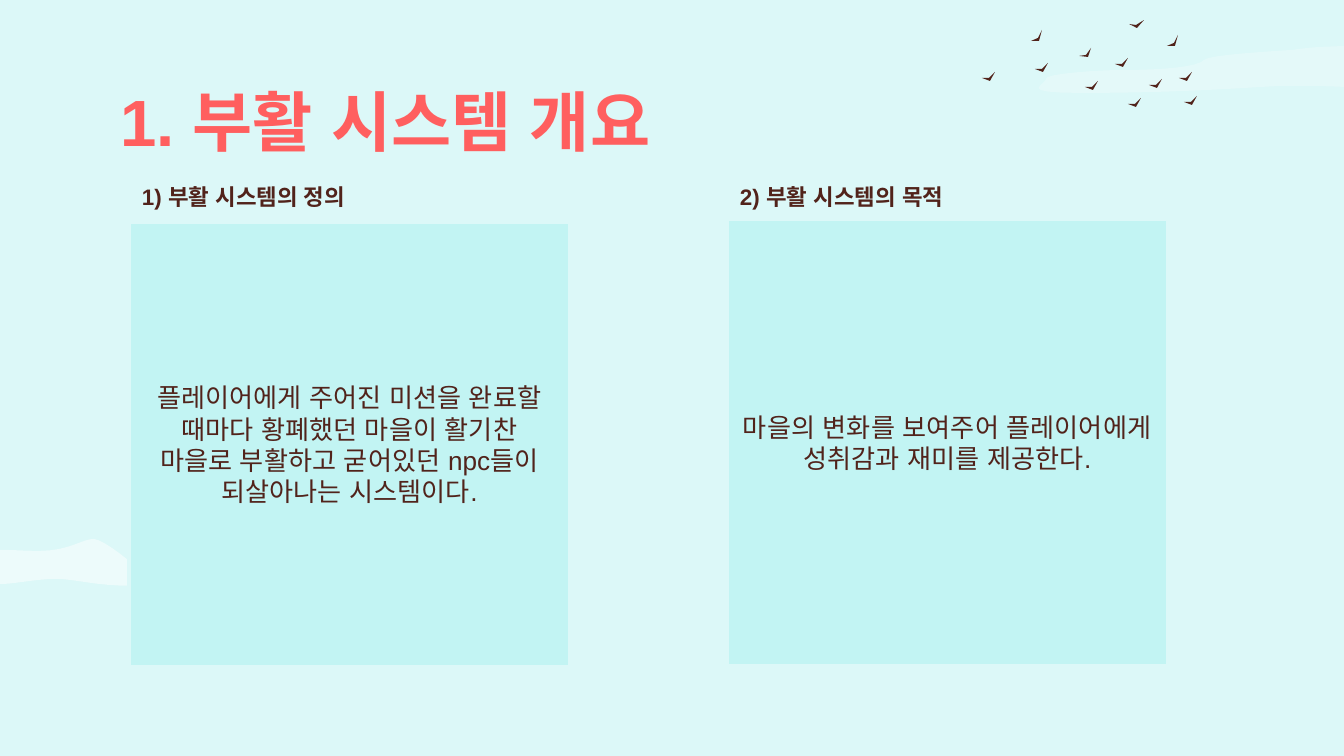
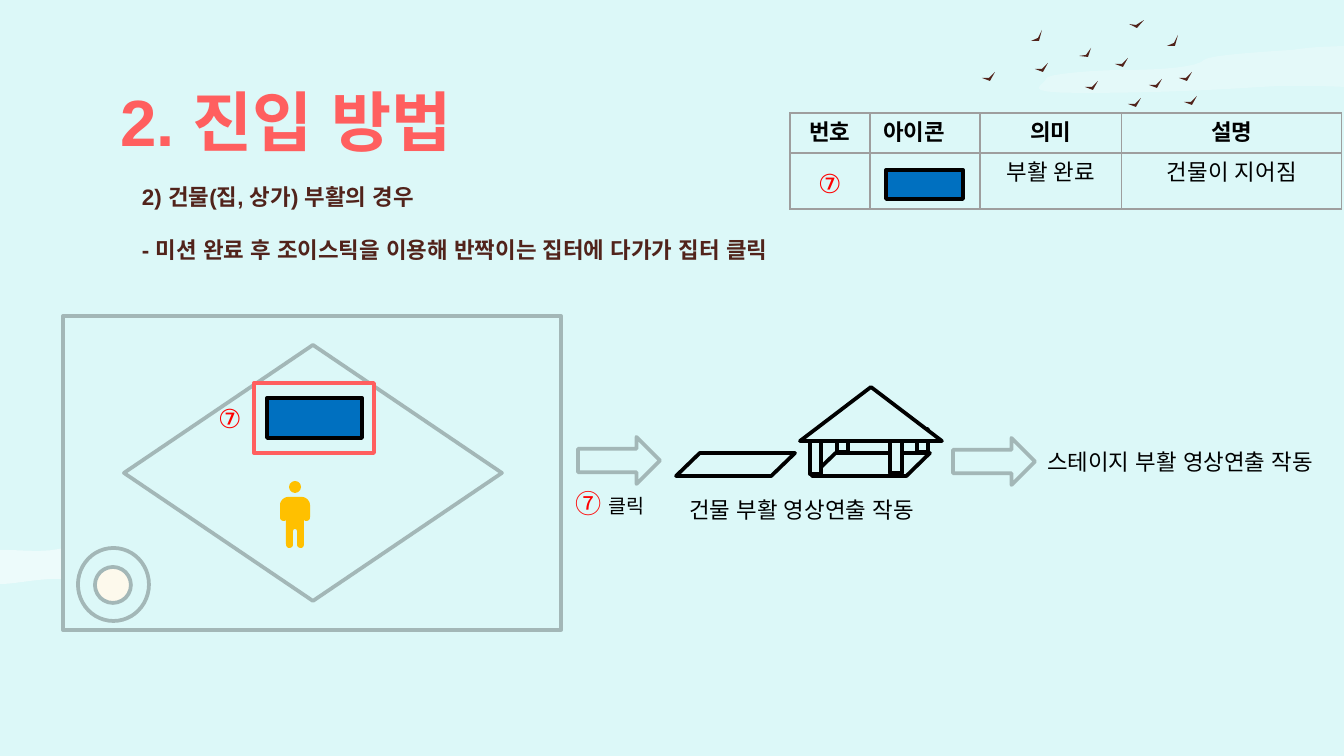
from dataclasses import dataclass

from lxml.etree import SubElement
from pptx import Presentation
from pptx.dml.color import RGBColor
from pptx.enum.shapes import MSO_SHAPE as SHAPE
from pptx.enum.text import MSO_ANCHOR as ANCHOR, MSO_AUTO_SIZE as AUTO, PP_ALIGN as ALIGN
from pptx.oxml.ns import qn
from pptx.util import Emu, Pt


@dataclass(frozen=True)
class Theme:
    font: str = "Arial"
    sky: str = "DCF8F8"
    panel: str = "C2F4F3"
    coral: str = "FF5F5F"
    brown: str = "51231B"
    gray: str = "A3B7B7"
    grid: str = "9E9E9E"
    blue: str = "0070C0"
    gold: str = "FFC000"
    cream: str = "FDF9EC"
    red: str = "FF0000"
    black: str = "000000"
    white: str = "FFFFFF"
    title: float = 35
    body: float = 14
    label: float = 12
    small: float = 10.5
    line: float = 2


T = Theme()
PX = 914400 / 134.4  # EMU per px
WIDTH, HEIGHT = 1344, 756

# Content: overview slide
OVERVIEW_TITLE = "1. 부활 시스템 개요"
OVERVIEW = [  # heading, heading box, text, panel box
    ("1) 부활 시스템의 정의", (106, 170, 534, 270),
     "플레이어에게 주어진 미션을 완료할 때마다 황폐했던 마을이 활기찬 마을로 "
     "부활하고 굳어있던 npc들이 되살아나는 시스템이다.", (129, 222, 441, 445)),
    ("2) 부활 시스템의 목적", (704, 170, 534, 270),
     "마을의 변화를 보여주어 플레이어에게 성취감과 재미를 제공한다.", (727, 219, 441, 447)),
]

# Content: entry slide
ENTRY_TITLE = "2. 진입 방법"
ENTRY_STEPS = ["2) 건물(집, 상가) 부활의 경우",
               "- 미션 완료 후 조이스틱을 이용해 반짝이는 집터에 다가가 집터 클릭"]
LEGEND_HEAD = ["번호", "아이콘", "의미", "설명"]
LEGEND_ROW = ["", "", "부활 완료", "건물이 지어짐"]
LEGEND_COLS = [80, 110, 142, 220]
LEGEND_X, LEGEND_Y, HEAD_H, ROW_H = 790, 113, 40, 56
MARK = "⑦"
CAPTIONS = [  # box, wrap, runs of (text, size, colour)
    ((676, 490, 277, 40), False, [("건물 부활 영상연출 작동", T.label, T.black)]),
    ((1034, 442, 310, 40), True, [("스테이지 부활 영상연출 작동", T.label, T.black)]),
    ((205, 396, 52, 46), True, [(MARK, T.body, T.red)]),
    ((562, 481, 120, 46), True, [(MARK + " ", T.body, T.red), ("클릭", T.small, T.black)]),
    ((805, 161, 58, 46), True, [(MARK, T.body, T.red)]),
]
DIAGRAM = [  # preset, box, fill, line
    # House and empty plot
    (SHAPE.FLOWCHART_DATA, (812, 453, 118, 23), T.sky, T.black),
    (SHAPE.RECTANGLE, (837, 429, 11, 23), T.sky, T.black),
    (SHAPE.RECTANGLE, (810, 441, 11, 33), T.sky, T.black),
    (SHAPE.RECTANGLE, (917, 429, 11, 23), T.sky, T.black),
    (SHAPE.RECTANGLE, (890, 440, 12, 33), T.sky, T.black),
    (SHAPE.ISOSCELES_TRIANGLE, (800, 387, 142, 54), T.sky, T.black),
    (SHAPE.FLOWCHART_DATA, (676, 453, 119, 23), T.sky, T.black),
    # Game screen, ground and joystick
    (SHAPE.RECTANGLE, (63, 316, 498, 314), T.sky, T.gray),
    (SHAPE.FLOWCHART_DECISION, (124, 345, 378, 256), T.sky, T.gray),
    (SHAPE.OVAL, (78, 548, 71, 73), T.sky, T.gray),
    (SHAPE.OVAL, (95, 567, 36, 36), T.cream, T.gray),
    # Highlighted building site
    (SHAPE.RECTANGLE, (254, 383, 120, 70), T.sky, T.coral),
    (SHAPE.RECTANGLE, (267, 398, 95, 40), T.blue, T.black),
    # Flow arrows
    (SHAPE.RIGHT_ARROW, (578, 437, 82, 47), T.sky, T.gray),
    (SHAPE.RIGHT_ARROW, (953, 438, 82, 47), T.sky, T.gray),
    # Player's head and legend icon
    (SHAPE.OVAL, (289, 481, 12, 12), T.gold, None),
    (SHAPE.RECTANGLE, (886, 170, 77, 29), T.blue, T.black),
]

# Outlines: a start point, then lines (one point) and curves (three points)
RIGHT_CLOUD = [(1344, 46), [(1330, 47), (1320, 46), (1292, 50)],
               [(1262, 52), (1210, 55), (1204, 60)], [(1199, 67), (1161, 70), (1128, 70)],
               [(1095, 70), (1044, 74), (1046, 79)], [(1046, 85), (1015, 93), (1081, 93)],
               [(1148, 93), (1198, 91), (1262, 87)], [(1290, 85), (1320, 86), (1344, 87)]]
LEFT_CLOUD = [(94, 539), [(105, 540), (136, 566), (140, 571)],
              [(140, 571), (195, 583), (146, 585)], [(142, 586), (138, 586), (134, 586)],
              [(94, 586), (75, 579), (56, 579)], [(36, 579), (9, 585), (0, 584)],
              [(0, 550)], [(13, 550), (26, 551), (39, 551)], [(70, 551), (82, 539), (94, 539)]]
PLAYER_AXIS = 295
PLAYER_HALF = [(288, 497), [(284, 497), (280, 501), (280, 505)], [(280, 517)],
               [(280, 519), (281, 521), (284, 521)], [(284, 521), (285, 521), (286, 520)],
               [(286, 544)], [(286, 547), (288, 548), (289, 548)],
               [(291, 548), (293, 547), (293, 544)], [(293, 531)],
               [(293, 530), (294, 529), (295, 529)]]
FLOCK = [  # wing outline, places
    ([(13, 0), (7, 6), (0, 6), (8, 9)],
     [(1184, 96), (1179, 72), (1128, 98), (1035, 63), (1115, 58), (982, 72),
      (1085, 81), (1149, 79)]),
    ([(12, 0), (7, 7), (0, 8), (9, 9)], [(1079, 48)]),
    ([(11, 0), (7, 8), (0, 11), (8, 11)], [(1167, 35), (1031, 30)]),
    ([(15, 0), (7, 5), (0, 4), (8, 8)], [(1129, 20)]),
]


def px(*values):
    return [Emu(round(v * PX)) for v in values]


def rgb(color):
    return RGBColor.from_string(color)


def paint(sp, fill, line=None, alpha=None):
    sp.shadow.inherit = False
    sp.fill.solid()
    sp.fill.fore_color.rgb = rgb(fill)
    if alpha:
        clr = sp.element.spPr.find(qn("a:solidFill"))[0]
        SubElement(clr, qn("a:alpha")).set("val", str(alpha * 1000))
    if line:
        sp.line.color.rgb = rgb(line)
        sp.line.width = Pt(T.line)
    else:
        sp.line.fill.background()


def style(font, size, color, bold=False):
    font.name, font.size, font.bold = T.font, Pt(size), bold
    font.color.rgb = rgb(color)
    SubElement(font._rPr, qn("a:ea")).set("typeface", T.font)


def preset(slide, kind, box, fill, line):
    sp = slide.shapes.add_shape(kind, *px(*box))
    paint(sp, fill, line)
    return sp


def flatten(outline, steps=8):
    """Turn lines and cubic curves into a list of points."""
    pts = [outline[0]]
    for seg in outline[1:]:
        if len(seg) == 1:
            pts += seg
            continue
        quad = [pts[-1], *seg]
        for i in range(1, steps + 1):
            t = i / steps
            w = ((1 - t) ** 3, 3 * t * (1 - t) ** 2, 3 * t * t * (1 - t), t ** 3)
            pts.append(tuple(sum(k * p[axis] for k, p in zip(w, quad)) for axis in (0, 1)))
    return pts


def freeform(slide, pts, fill, alpha=None):
    pts = [px(*p) for p in pts]
    fb = slide.shapes.build_freeform(*pts[0])
    fb.add_line_segments(pts[1:], close=True)
    sp = fb.convert_to_shape()
    paint(sp, fill, alpha=alpha)
    return sp


def decorate(layout, slide):
    """Draw clouds and birds once and move them to the layout."""
    decor = [freeform(slide, flatten(RIGHT_CLOUD), T.white, 25),
             freeform(slide, flatten(LEFT_CLOUD), T.white, 50)]
    for wing, places in FLOCK:
        for x, y in places:
            decor.append(freeform(slide, [(x + dx, y + dy) for dx, dy in wing], T.brown))
    for sp in decor:
        layout.shapes.element.append(sp.element)


def add_slide(prs, layout, title):
    slide = prs.slides.add_slide(layout)
    sp = slide.shapes.title
    sp.left, sp.top, sp.width, sp.height = px(107, 78, 1130, 85)
    tf = sp.text_frame
    tf.text = title
    tf.auto_size, tf.vertical_anchor = AUTO.NONE, ANCHOR.MIDDLE
    tf.margin_left = tf.margin_right = tf.margin_top = tf.margin_bottom = px(13)[0]
    p = tf.paragraphs[0]
    p.alignment = ALIGN.LEFT
    style(p.font, T.title, T.coral, True)
    return slide


def add_heading(slide, box, lines):
    tf = slide.shapes.add_textbox(*px(*box)).text_frame
    tf.word_wrap = True
    tf.margin_left, tf.margin_top, tf.margin_right = px(36, 13, 13)
    tf.text = "\n".join(lines)
    for i, p in enumerate(tf.paragraphs):
        style(p.font, T.label, T.brown, True)
        if i:
            p.space_before = Pt(14)


def add_caption(slide, box, wrap, runs):
    tf = slide.shapes.add_textbox(*px(*box)).text_frame
    tf.word_wrap = wrap
    for text, size, color in runs:
        r = tf.paragraphs[0].add_run()
        r.text = text
        style(r.font, size, color)


def add_border(cell):
    tcPr = cell._tc.get_or_add_tcPr()
    for i, side in enumerate(("lnL", "lnR", "lnT", "lnB")):
        ln = tcPr.makeelement(qn("a:" + side), {"w": str(Pt(0.75))})
        fill = SubElement(ln, qn("a:solidFill"))
        SubElement(fill, qn("a:srgbClr")).set("val", T.grid)
        tcPr.insert(i, ln)


def add_legend(slide, top, height, texts, bold=False):
    box = px(LEGEND_X, top, sum(LEGEND_COLS), height)
    table = slide.shapes.add_table(1, len(texts), *box).table
    table.first_row = table.horz_banding = False
    for i, (text, width) in enumerate(zip(texts, LEGEND_COLS)):
        table.columns[i].width = px(width)[0]
        cell = table.cell(0, i)
        cell.text = text
        cell.fill.background()
        add_border(cell)
        p = cell.text_frame.paragraphs[0]
        p.alignment = ALIGN.LEFT if i == 1 else ALIGN.CENTER
        style(p.font, T.label, T.black, bold)


def build_overview(slide):
    for heading, heading_box, text, panel_box in OVERVIEW:
        add_heading(slide, heading_box, [heading])
        tf = preset(slide, SHAPE.RECTANGLE, panel_box, T.panel, T.sky).text_frame
        tf.text, tf.word_wrap, tf.vertical_anchor = text, True, ANCHOR.MIDDLE
        p = tf.paragraphs[0]
        p.alignment = ALIGN.CENTER
        style(p.font, T.body, T.brown)


def build_entry(slide):
    add_heading(slide, (106, 170, 778, 113), ENTRY_STEPS)
    add_legend(slide, LEGEND_Y, HEAD_H, LEGEND_HEAD, bold=True)
    add_legend(slide, LEGEND_Y + HEAD_H, ROW_H, LEGEND_ROW)
    for part in DIAGRAM:
        preset(slide, *part)
    half = flatten(PLAYER_HALF)
    mirrored = [(2 * PLAYER_AXIS - x, y) for x, y in reversed(half)]
    freeform(slide, half + mirrored, T.gold)
    for caption in CAPTIONS:
        add_caption(slide, *caption)


def main():
    prs = Presentation()
    prs.slide_width, prs.slide_height = px(WIDTH, HEIGHT)
    bg = prs.slide_master.background.fill
    bg.solid()
    bg.fore_color.rgb = rgb(T.sky)
    layout = prs.slide_layouts[5]
    overview = add_slide(prs, layout, OVERVIEW_TITLE)
    decorate(layout, overview)
    build_overview(overview)
    build_entry(add_slide(prs, layout, ENTRY_TITLE))
    prs.save("out.pptx")


if __name__ == "__main__":
    main()
